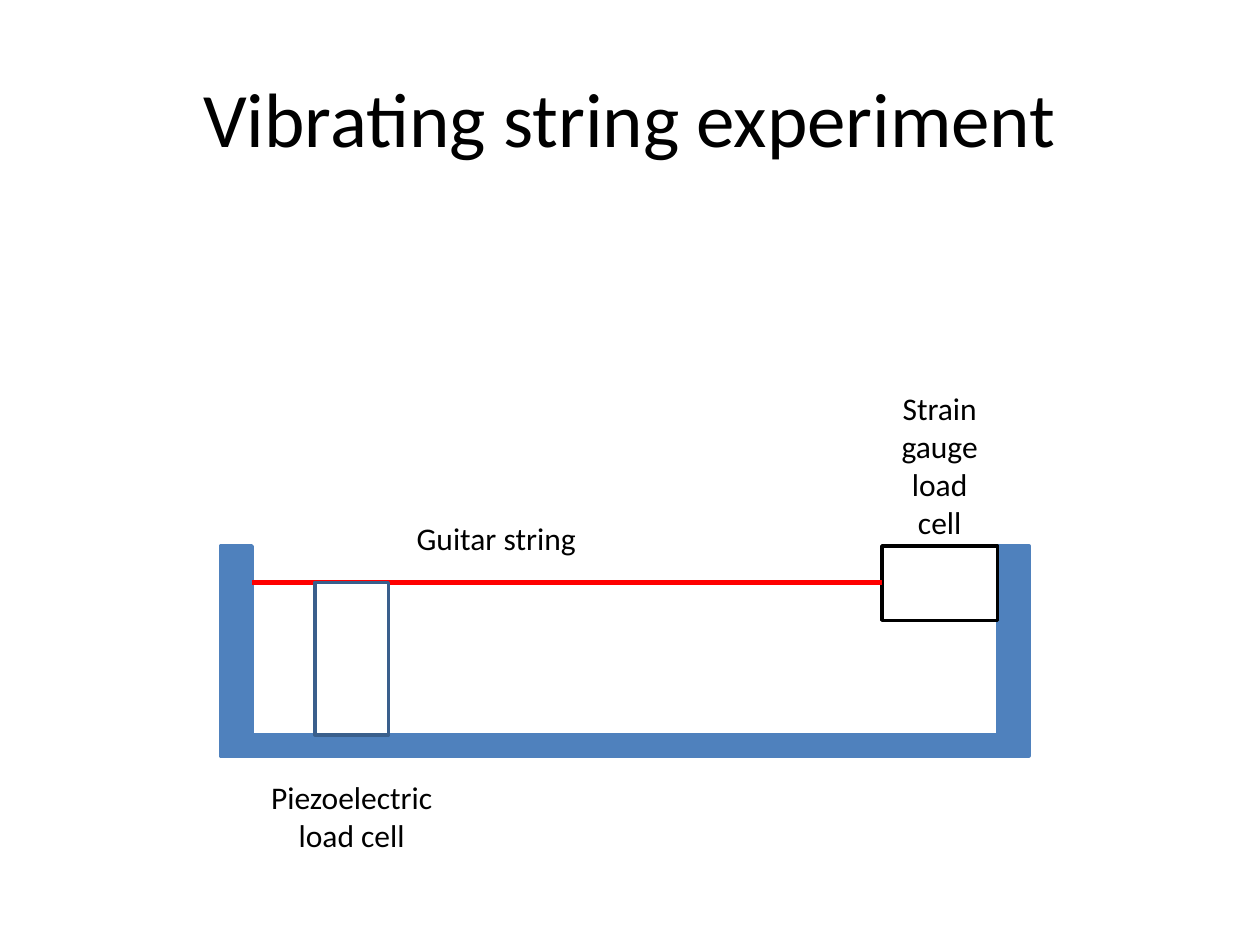
"""Build a slide showing a vibrating string experiment."""
from lxml import etree
from pptx import Presentation
from pptx.dml.color import RGBColor
from pptx.enum.shapes import MSO_CONNECTOR, MSO_SHAPE
from pptx.enum.text import MSO_ANCHOR, PP_ALIGN
from pptx.oxml.ns import qn
from pptx.util import Pt

RECTANGLE, STRAIGHT = MSO_SHAPE.RECTANGLE, MSO_CONNECTOR.STRAIGHT
LEFT, CENTER, MIDDLE = PP_ALIGN.LEFT, PP_ALIGN.CENTER, MSO_ANCHOR.MIDDLE
BLACK = RGBColor(0x00, 0x00, 0x00)
WHITE = RGBColor(0xFF, 0xFF, 0xFF)
RED = RGBColor(0xFF, 0x00, 0x00)
BLUE = RGBColor(0x4F, 0x81, 0xBD)
DARK_BLUE = RGBColor(0x3A, 0x5F, 0x8C)

TITLE = "Vibrating string experiment"
TITLE_AREA = (36, 21.6, 648, 90)
LABELS = [
    ("Strain gauge load cell", (501, 219, 72, 94.4), CENTER),
    ("Piezoelectric load cell", (147, 441, 108, 51), CENTER),
    ("Guitar string", (231, 293, 204, 29), LEFT),
]
FRAME_LEFT, FRAME_TOP, FRAME_WIDTH = 126, 312, 462
WALL_WIDTH, WALL_HEIGHT, BASE_HEIGHT = 18, 108, 12
STRAIN_WIDTH, STRAIN_HEIGHT = 66, 42.5
PIEZO_LEFT, PIEZO_WIDTH = 180, 42
STRING_Y = 332.8


def points(values):
    return [Pt(value) for value in values]


def add_block(shapes, area, fill, line):
    block = shapes.add_shape(RECTANGLE, *points(area))
    block.shadow.inherit = False
    block.fill.solid()
    block.fill.fore_color.rgb = fill
    block.line.color.rgb = line
    block.line.width = Pt(2)


def write_text(frame, text, size, alignment):
    frame.word_wrap = True
    para = frame.paragraphs[0]
    para.alignment = alignment
    span = para.add_run()
    span.text = text
    for name, value in {"name": "Calibri", "size": Pt(size)}.items():
        setattr(span.font, name, value)
    span.font.color.rgb = BLACK


def add_string(shapes, start, end):
    string = shapes.add_connector(STRAIGHT, *points((start, STRING_Y, end, STRING_Y)))
    string.line.color.rgb = RED
    string.line.width = Pt(2.5)
    etree.SubElement(string.element.spPr, qn("a:effectLst"))


def main():
    deck = Presentation()
    deck.slide_width, deck.slide_height = points((720, 540))
    page = deck.slides.add_slide(deck.slide_layouts[5])
    shapes = page.shapes

    title = shapes.title
    title.left, title.top, title.width, title.height = points(TITLE_AREA)
    title.text_frame.vertical_anchor = MIDDLE
    write_text(title.text_frame, TITLE, 44, CENTER)

    base_top = FRAME_TOP + WALL_HEIGHT
    right_wall = FRAME_LEFT + FRAME_WIDTH - WALL_WIDTH
    strain_left = right_wall - STRAIN_WIDTH
    frame_parts = [
        (FRAME_LEFT, FRAME_TOP, WALL_WIDTH, WALL_HEIGHT),
        (FRAME_LEFT, base_top, FRAME_WIDTH, BASE_HEIGHT),
        (right_wall, FRAME_TOP, WALL_WIDTH, WALL_HEIGHT),
    ]
    frame = shapes.add_group_shape()
    for area in frame_parts:
        add_block(frame.shapes, area, BLUE, BLUE)

    add_block(shapes, (strain_left, FRAME_TOP, STRAIN_WIDTH, STRAIN_HEIGHT), WHITE, BLACK)
    add_string(shapes, strain_left, FRAME_LEFT + WALL_WIDTH)
    piezo_area = (PIEZO_LEFT, STRING_Y, PIEZO_WIDTH, base_top - STRING_Y)
    add_block(shapes, piezo_area, WHITE, DARK_BLUE)

    for text, area, alignment in LABELS:
        box = shapes.add_textbox(*points(area))
        write_text(box.text_frame, text, 18, alignment)

    deck.save("out.pptx")


if __name__ == "__main__":
    main()
